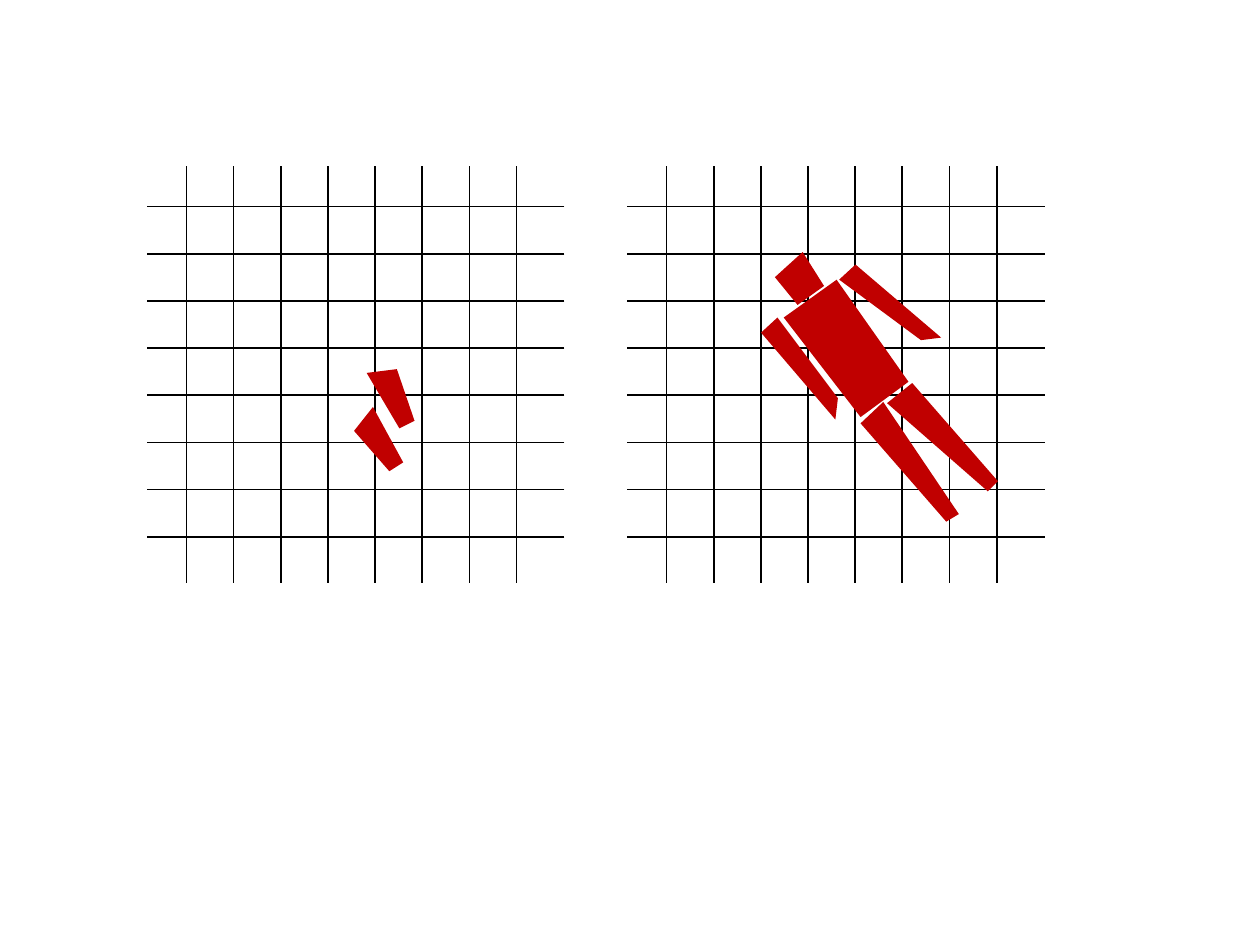
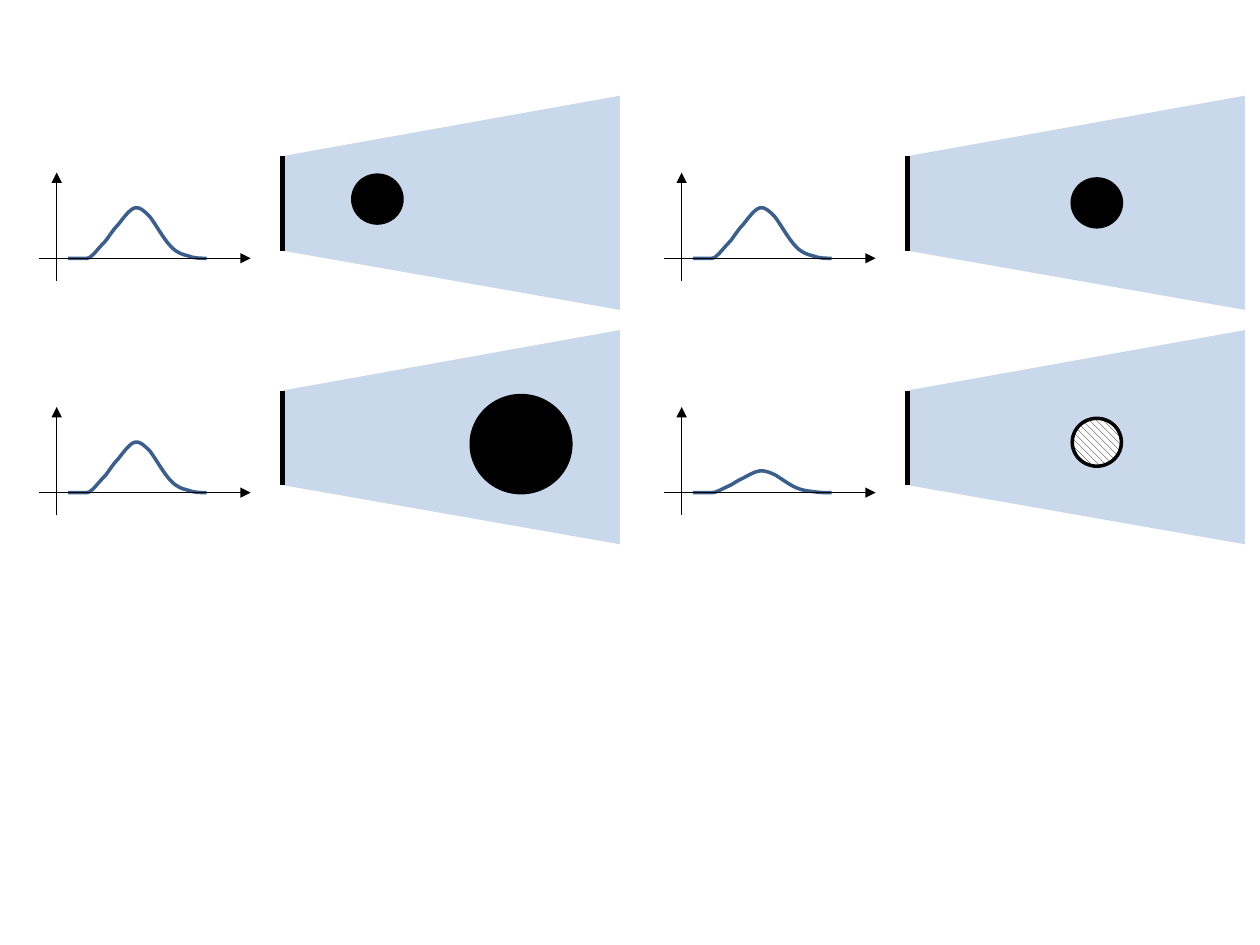
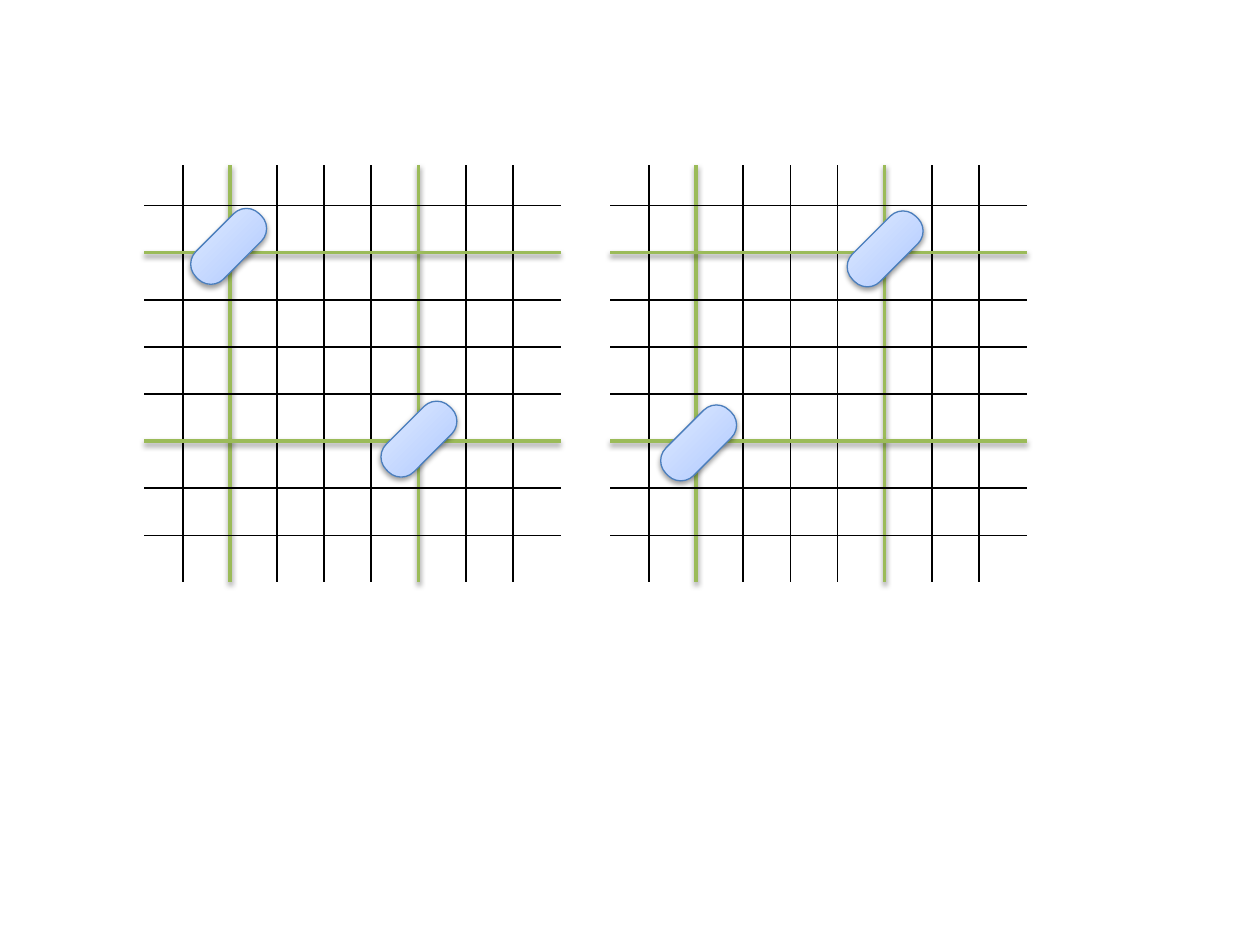
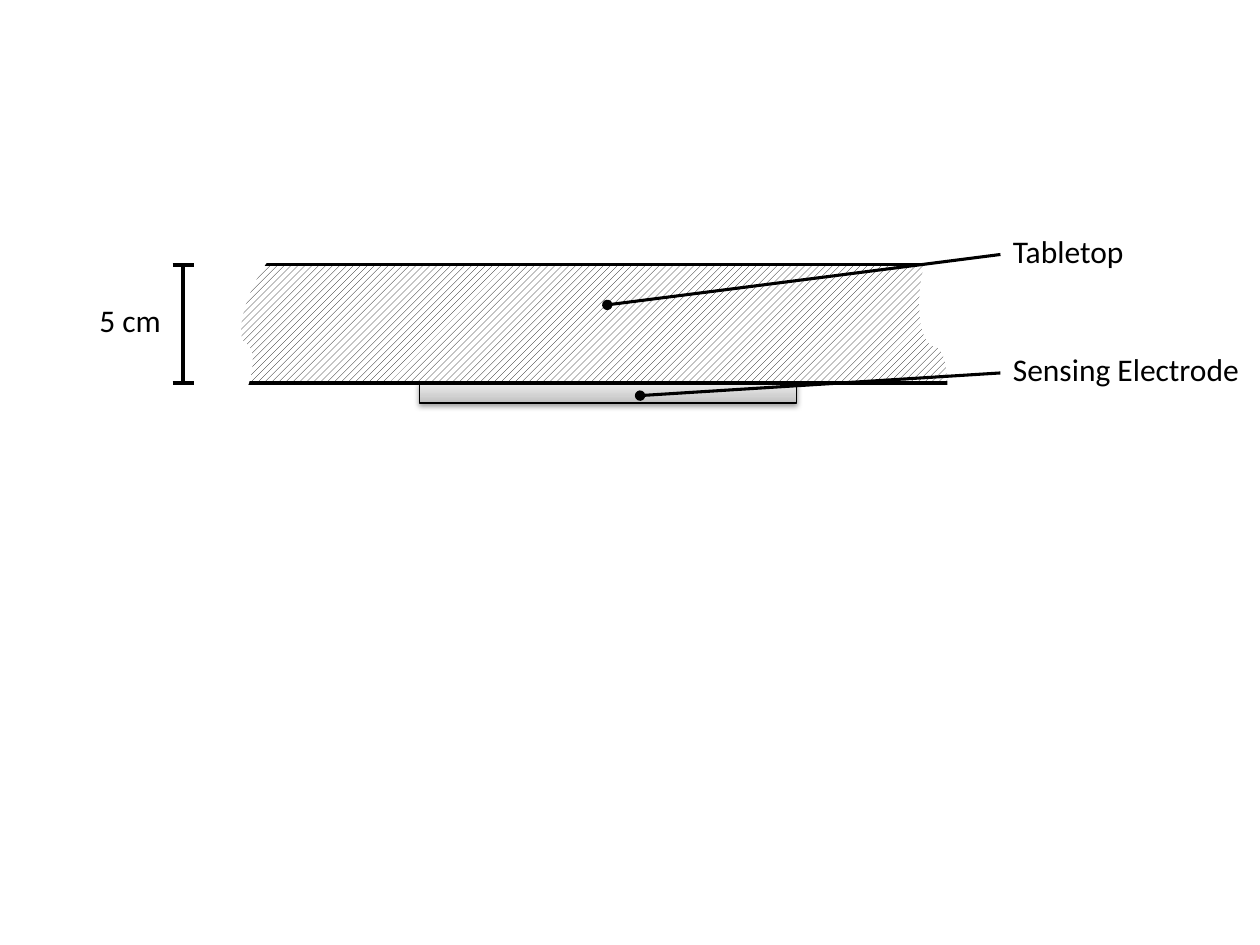
"""Build four diagrams of capacitive sensing: grids, field strength, ambiguity and mounting."""
from copy import deepcopy
from dataclasses import dataclass
from typing import Optional, Sequence, Union

from pptx import Presentation
from pptx.dml.color import RGBColor
from pptx.enum.dml import MSO_PATTERN as Pattern
from pptx.enum.shapes import MSO_CONNECTOR as Connector, MSO_SHAPE as Preset
from pptx.enum.text import MSO_AUTO_SIZE as AutoSize
from pptx.oxml.ns import qn
from pptx.oxml.xmlchemy import OxmlElement
from pptx.shapes.autoshape import Shape
from pptx.shapes.shapetree import GroupShapes, SlideShapes
from pptx.util import Inches, Pt

Canvas = Union[GroupShapes, SlideShapes]
Point = tuple[float, float]
Box = tuple[float, float, float, float]
Stops = tuple[tuple[float, str], ...]


@dataclass(frozen=True)
class Theme:
    """Colours, gradients, type and line weights shared by the slides."""
    ink: str = "000000"
    paper: str = "FFFFFF"
    body: str = "C00000"
    field: str = "95B3D7"
    field_alpha: int = 50
    signal: str = "3A5F8C"
    active: str = "9BBB59"
    finger_edge: str = "4B7EBC"
    finger: Stops = ((0, "A4C4FF"), (0.35, "BFD4FF"), (1, "E6EEFF"))
    metal: Stops = ((0, "BDBDBD"), (0.35, "D1D1D1"), (1, "EEEEEE"))
    font: str = "Calibri"
    label_size: float = 18
    thin: float = 0.75
    grid: float = 1
    leader: float = 1.75
    bold: float = 2
    dimension: float = 2.25
    plate: float = 3


@dataclass(frozen=True)
class SensorGrid:
    """Place of a sensing grid and the numbers of its active wires."""
    left: float
    top: float
    active: tuple[int, ...] = ()


@dataclass(frozen=True)
class Reading:
    """An object in the field and the height of the signal it causes."""
    column: int
    row: int
    ball: Box
    gain: float = 1
    hatched: bool = False


THEME = Theme()
WIRES = 8
WIRE_GAP = 2.62 / 7
WIRE_LENGTH = 3.31
FIRST_COLUMN, FIRST_ROW = 0.31, 0.32
PANEL_WIDTH, PANEL_HEIGHT = 4.96, 1.86

ARMS = (
    ((3.2, 3.67), (2.96, 3.23), (2.81, 3.42), (3.09, 3.74)),
    ((3.17, 3.4), (2.91, 2.96), (3.15, 2.93), (3.29, 3.34)),
)
PERSON = (
    ((6.83, 3.31), (6.22, 2.52), (6.64, 2.22), (7.21, 3.03)),
    ((6.63, 3.33), (6.04, 2.64), (6.17, 2.52), (6.65, 3.16)),
    ((7.47, 2.68), (6.79, 2.1), (6.66, 2.22), (7.31, 2.7)),
    ((6.33, 2.42), (6.15, 2.2), (6.37, 2), (6.54, 2.27)),
    ((7.51, 4.14), (6.83, 3.36), (7.01, 3.19), (7.61, 4.08)),
    ((7.92, 3.82), (7.24, 3.04), (7.04, 3.2), (7.84, 3.9)),
)
SIGNAL = (
    (0.09, 0),
    (0.15, 0), (0.21, 0), (0.24, 0),
    (0.28, 0.01), (0.26, 0.01), (0.29, 0.03),
    (0.31, 0.05), (0.35, 0.1), (0.39, 0.14),
    (0.42, 0.18), (0.45, 0.23), (0.49, 0.27),
    (0.53, 0.32), (0.58, 0.39), (0.62, 0.4),
    (0.66, 0.41), (0.69, 0.38), (0.74, 0.33),
    (0.78, 0.28), (0.85, 0.15), (0.91, 0.09),
    (0.96, 0.04), (1, 0.03), (1.04, 0.02),
    (1.09, 0), (1.14, 0), (1.19, 0),
)
READINGS = (
    Reading(0, 0, (2.8, 1.39, 0.39, 0.38)),
    Reading(0, 1, (3.74, 3.14, 0.79, 0.77)),
    Reading(1, 0, (8.51, 1.42, 0.39, 0.38)),
    Reading(1, 1, (8.51, 3.32, 0.39, 0.38), gain=0.43, hatched=True),
)


def rgb(colour: str) -> RGBColor:
    """Turn a hex string into a colour."""
    return RGBColor.from_string(colour)


def element(tag: str, **attributes: object) -> OxmlElement:
    """Make a drawing element with attributes."""
    made = OxmlElement(tag)
    for name, value in attributes.items():
        made.set(name, str(value))
    return made


def finish(drawn: Shape, shadow: bool = False) -> None:
    """Replace the inherited effects by none or by the soft drop shadow."""
    effects = element("a:effectLst")
    if shadow:
        cast = element("a:outerShdw", blurRad=Pt(3.1), dist=Pt(1.6), dir=90 * 60000, rotWithShape=0)
        shade = element("a:srgbClr", val=THEME.ink)
        shade.append(element("a:alpha", val=38000))
        cast.append(shade)
        effects.append(cast)
    drawn._element.spPr.append(effects)


def outline(drawn: Shape, colour: Optional[str], width: float = 0) -> None:
    """Colour the line of a shape, or remove it."""
    if colour is None:
        drawn.line.fill.background()
        return
    drawn.line.color.rgb = rgb(colour)
    drawn.line.width = Pt(width)


def fill_solid(drawn: Shape, colour: str) -> None:
    """Fill a shape with one colour."""
    drawn.fill.solid()
    drawn.fill.fore_color.rgb = rgb(colour)


def fill_hatch(drawn: Shape, pattern: Pattern) -> None:
    """Fill a shape with black hatching on white."""
    drawn.fill.patterned()
    drawn.fill.pattern = pattern
    drawn.fill.fore_color.rgb = rgb(THEME.ink)
    drawn.fill.back_color.rgb = rgb(THEME.paper)


def fill_gradient(drawn: Shape, stops: Stops) -> None:
    """Fill a shape with a gradient that runs upwards."""
    drawn.fill.gradient()
    drawn.fill.gradient_angle = 90
    listed = drawn._element.spPr.find(".//" + qn("a:gsLst"))
    listed.append(deepcopy(listed[0]))
    for stop, (position, colour) in zip(drawn.fill.gradient_stops, stops):
        stop.position = position
        stop.color.rgb = rgb(colour)


def draw_line(canvas: Canvas, start: Point, end: Point, width: float, colour: str = THEME.ink,
              shadow: bool = False, head: str = "", tail: str = "") -> None:
    """Draw a straight line with optional ends."""
    line = canvas.add_connector(Connector.STRAIGHT, *map(Inches, (*start, *end)))
    outline(line, colour, width)
    for tag, kind in (("a:headEnd", head), ("a:tailEnd", tail)):
        if kind:
            line._element.spPr.find(qn("a:ln")).append(element(tag, type=kind))
    finish(line, shadow)


def draw_preset(canvas: Canvas, preset: Preset, box: Box, rotation: float = 0) -> Shape:
    """Add a preset shape, ready for fill and line."""
    drawn = canvas.add_shape(preset, *map(Inches, box))
    drawn.rotation = rotation
    return drawn


def trace(canvas: Canvas, points: Sequence[Point], close: bool = True) -> Shape:
    """Add an outline through points given in inches."""
    corners = [(Inches(x), Inches(y)) for x, y in points]
    builder = canvas.build_freeform(*corners[0])
    builder.add_line_segments(corners[1:], close=close)
    return builder.convert_to_shape()


def draw_polygon(canvas: Canvas, points: Sequence[Point], colour: str, alpha: int = 100) -> None:
    """Draw a filled polygon without a line."""
    polygon = trace(canvas, points)
    fill_solid(polygon, colour)
    if alpha < 100:
        polygon._element.spPr.find(".//" + qn("a:srgbClr")).append(element("a:alpha", val=alpha * 1000))
    outline(polygon, None)
    finish(polygon)


def draw_curve(canvas: Canvas, points: Sequence[Point], colour: str, width: float) -> None:
    """Draw an open Bezier curve from a start and triples of points."""
    curve = trace(canvas, points, close=False)
    segments = list(curve._element.iter(qn("a:lnTo")))
    for first in range(0, len(segments), 3):
        bend = element("a:cubicBezTo")
        segments[first].addprevious(bend)
        for segment in segments[first:first + 3]:
            bend.append(segment[0])
            segment.getparent().remove(segment)
    curve.fill.background()
    outline(curve, colour, width)
    finish(curve)


def draw_label(canvas: Canvas, box: Box, lines: Sequence[str], gap: float = 12) -> None:
    """Write label lines with a fixed gap after each."""
    frame = canvas.add_textbox(*map(Inches, box)).text_frame
    for name, value in {"word_wrap": False, "auto_size": AutoSize.SHAPE_TO_FIT_TEXT}.items():
        setattr(frame, name, value)
    frame.text = "\n".join(lines)
    for paragraph in frame.paragraphs:
        paragraph.space_after = Pt(gap)
        font = paragraph.runs[0].font
        for name, value in {"name": THEME.font, "size": Pt(THEME.label_size)}.items():
            setattr(font, name, value)
        font.color.rgb = rgb(THEME.ink)


def draw_grid(shapes: SlideShapes, grid: SensorGrid) -> None:
    """Draw the crossing wires of a sensing grid."""
    wires = shapes.add_group_shape().shapes
    right, bottom = grid.left + WIRE_LENGTH, grid.top + WIRE_LENGTH
    columns = [grid.left + FIRST_COLUMN + WIRE_GAP * i for i in range(WIRES)]
    rows = [grid.top + FIRST_ROW + WIRE_GAP * i for i in range(WIRES)]
    spans = [((x, grid.top), (x, bottom)) for x in columns]
    spans += [((right, y), (grid.left, y)) for y in rows]
    for number, (start, end) in enumerate(spans):
        if number % WIRES in grid.active:
            draw_line(wires, start, end, THEME.bold, THEME.active, shadow=True)
        else:
            draw_line(wires, start, end, THEME.grid)


def draw_finger(shapes: SlideShapes, left: float, top: float) -> None:
    """Draw a slanted finger contact."""
    finger = draw_preset(shapes, Preset.ROUNDED_RECTANGLE, (left, top, 0.71, 0.31), 315)
    finger.adjustments[0] = 0.46
    fill_gradient(finger, THEME.finger)
    outline(finger, THEME.finger_edge, THEME.thin)
    finish(finger, shadow=True)


def draw_reading(shapes: SlideShapes, reading: Reading) -> None:
    """Draw the field, the object in it and the signal plot."""
    left, top = reading.column * PANEL_WIDTH, reading.row * PANEL_HEIGHT

    def place(x: float, y: float) -> Point:
        """Move a point of the first panel into this one."""
        return left + x, top + y

    plate_top, plate_bottom = place(2.24, 1.24), place(2.24, 1.99)
    field = (plate_top, place(4.92, 0.76), place(4.92, 2.46), plate_bottom)
    draw_polygon(shapes, field, THEME.field, THEME.field_alpha)
    draw_line(shapes, plate_top, plate_bottom, THEME.plate)
    ball = draw_preset(shapes, Preset.OVAL, reading.ball)
    if reading.hatched:
        fill_hatch(ball, Pattern.WIDE_DOWNWARD_DIAGONAL)
    else:
        fill_solid(ball, THEME.ink)
    outline(ball, THEME.ink, THEME.bold)
    finish(ball)
    plot = shapes.add_group_shape().shapes
    signal = [place(0.45 + x, 2.05 - y * reading.gain) for x, y in SIGNAL]
    draw_curve(plot, signal, THEME.signal, THEME.bold)
    for start, end in (((0.31, 2.05), (1.99, 2.05)), ((0.45, 2.23), (0.45, 1.37))):
        draw_line(plot, place(*start), place(*end), THEME.thin, tail="triangle")


def build_contact_slide(shapes: SlideShapes) -> None:
    """Show arms and a whole person on two grids."""
    for left in (4.98, 1.17):
        draw_grid(shapes, SensorGrid(left, 1.32))
    for figure in (ARMS, PERSON):
        limbs = shapes.add_group_shape().shapes
        for limb in figure:
            draw_polygon(limbs, limb, THEME.body)


def build_field_slide(shapes: SlideShapes) -> None:
    """Compare the signals of four objects."""
    for reading in READINGS:
        draw_reading(shapes, reading)


def build_ambiguity_slide(shapes: SlideShapes) -> None:
    """Show two finger pairs that activate the same wires."""
    pairs = {1.14: ((1.46, 1.8), (2.97, 3.33)), 4.84: ((5.19, 3.36), (6.67, 1.82))}
    for left, fingers in pairs.items():
        draw_grid(shapes, SensorGrid(left, 1.31, active=(1, 5)))
        for finger in fingers:
            draw_finger(shapes, *finger)


def build_mounting_slide(shapes: SlideShapes) -> None:
    """Show the electrode under the tabletop in section."""
    top, bottom = 2.1, 3.04
    electrode = draw_preset(shapes, Preset.RECTANGLE, (3.33, bottom, 2.99, 0.16))
    fill_gradient(electrode, THEME.metal)
    outline(electrode, THEME.ink, THEME.thin)
    finish(electrode, shadow=True)
    tabletop = draw_preset(shapes, Preset.RECTANGLE, (1.77, top, 5.83, bottom - top))
    fill_hatch(tabletop, Pattern.WIDE_UPWARD_DIAGONAL)
    outline(tabletop, THEME.ink, THEME.bold)
    finish(tabletop)
    for left, upper, rotation in ((0.41, 1.62, 296.4), (7.13, 2, 97.7)):
        torn_edge = draw_preset(shapes, Preset.FLOWCHART_PUNCHED_TAPE, (left, upper, 1.89, 1.65), rotation)
        fill_solid(torn_edge, THEME.paper)
        outline(torn_edge, THEME.paper, THEME.bold)
        finish(torn_edge)
    draw_label(shapes, (7.94, 1.79, 2.02, 1.35), ("Tabletop", "Sensing Electrode"), gap=46)
    for start, end in (((4.82, 2.42), (7.94, 2.02)), ((5.08, 3.14), (7.94, 2.96))):
        draw_line(shapes, start, end, THEME.leader, head="oval")
    thickness = shapes.add_group_shape().shapes
    draw_line(thickness, (1.45, top), (1.45, bottom), THEME.dimension)
    for level in (bottom, top):
        draw_line(thickness, (1.37, level), (1.54, level), THEME.dimension)
    draw_label(shapes, (0.69, 2.34, 0.7, 0.4), ("5 cm",))


def main() -> None:
    """Build and save the presentation."""
    deck = Presentation()
    deck.slide_width, deck.slide_height = Inches(10), Inches(7.5)
    blank = deck.slide_layouts[6]
    for build in (build_contact_slide, build_field_slide, build_ambiguity_slide, build_mounting_slide):
        build(deck.slides.add_slide(blank).shapes)
    deck.save("out.pptx")


if __name__ == "__main__":
    main()
